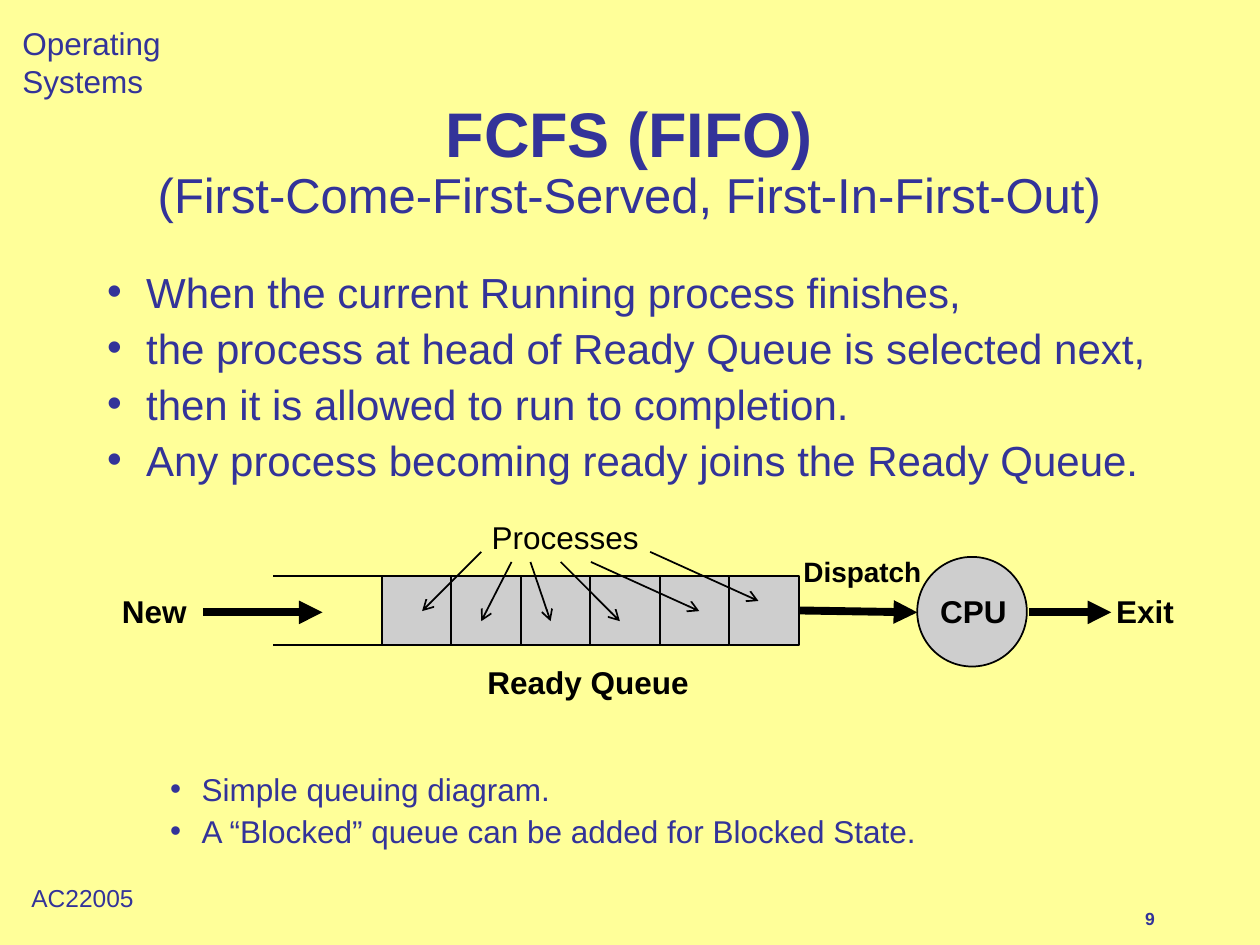
from lxml.etree import SubElement
from pptx import Presentation
from pptx.dml.color import RGBColor
from pptx.enum.shapes import MSO_CONNECTOR, MSO_SHAPE
from pptx.enum.text import MSO_ANCHOR, MSO_AUTO_SIZE, PP_ALIGN
from pptx.oxml.ns import qn
from pptx.util import Inches, Pt

CREAM = RGBColor(0xFF, 0xFF, 0x99)
NAVY = RGBColor(0x33, 0x33, 0x99)
GREY = RGBColor(0xCE, 0xCE, 0xCE)
BLACK = RGBColor(0, 0, 0)

CELL = 0.55
CELL_COUNT = 6
QUEUE_LEFT = 3.03
QUEUE_TOP = 4.57
QUEUE_MID = 4.86


def add_run(p, text, size=18, color=BLACK, bold=False, font="Arial"):
    r = p.add_run()
    r.text = text
    r.font.name = font
    r.font.size = Pt(size)
    r.font.bold = bold
    r.font.color.rgb = color


class SlideBuilder:
    def __init__(self, slide, line_color=BLACK, fill=GREY):
        self.s = slide
        self.line_color = line_color
        self.fill = fill

    def background(self, color):
        self.s.background.fill.solid()
        self.s.background.fill.fore_color.rgb = color

    def place(self, sp, left, top, width, height):
        sp.left, sp.top = Inches(left), Inches(top)
        sp.width, sp.height = Inches(width), Inches(height)
        tf = sp.text_frame
        tf.auto_size = MSO_AUTO_SIZE.NONE
        tf.word_wrap = True
        return tf

    def title(self, box, heading, subheading):
        tf = self.place(self.s.shapes.title, *box)
        tf.vertical_anchor = MSO_ANCHOR.MIDDLE
        p = tf.paragraphs[0]
        p.alignment = PP_ALIGN.CENTER
        p.line_spacing = 0.9
        add_run(p, heading, size=36, color=NAVY, bold=True)
        p.add_line_break()
        add_run(p, subheading, size=28, color=NAVY)

    def bullets(self, box, items):
        tf = self.place(self.s.placeholders[1], *box)
        tf.vertical_anchor = MSO_ANCHOR.TOP
        for i, (text, level, before) in enumerate(items):
            p = tf.paragraphs[0] if i == 0 else tf.add_paragraph()
            p.level = level
            p.line_spacing = 0.8
            p.space_before = Pt(before)
            margin, hang, size = ((0.31, 0.31, 24), (0.75, 0.25, 18))[level]
            ppr = p._p.get_or_add_pPr()
            ppr.set("marL", str(Inches(margin)))
            ppr.set("indent", str(-Inches(hang)))
            color = SubElement(ppr, qn("a:buClr"))
            SubElement(color, qn("a:srgbClr"), val=str(NAVY))
            SubElement(ppr, qn("a:buFont"), typeface="Arial")
            SubElement(ppr, qn("a:buChar"), char="•")
            add_run(p, text, size=size, color=NAVY)

    def label(self, text, left, top, width, height=0.4, align=PP_ALIGN.LEFT,
              wrap=True, **style):
        sp = self.s.shapes.add_textbox(*map(Inches, (left, top, width, height)))
        tf = sp.text_frame
        tf.word_wrap = wrap
        p = tf.paragraphs[0]
        p.alignment = align
        add_run(p, text, **style)

    def shape(self, kind, left, top, width, height):
        sp = self.s.shapes.add_shape(
            kind, *map(Inches, (left, top, width, height)))
        sp.shadow.inherit = False
        sp.fill.solid()
        sp.fill.fore_color.rgb = self.fill
        sp.line.color.rgb = self.line_color
        sp.line.width = Pt(1)
        return sp

    def line(self, x1, y1, x2, y2, width=1, head=None):
        cx = self.s.shapes.add_connector(
            MSO_CONNECTOR.STRAIGHT, *map(Inches, (x1, y1, x2, y2)))
        cx.line.color.rgb = self.line_color
        cx.line.width = Pt(width)
        if head:
            SubElement(cx.line._get_or_add_ln(), qn("a:tailEnd"), type=head)
        SubElement(cx._element.spPr, qn("a:effectLst"))
        return cx


def main():
    prs = Presentation()
    prs.slide_width, prs.slide_height = Inches(10), Inches(7.5)
    b = SlideBuilder(prs.slides.add_slide(prs.slide_layouts[1]))
    b.background(CREAM)

    b.label("Operating Systems", 0.08, 0.14, 2.32, wrap=False, color=NAVY)
    b.label("9", 8.99, 7.16, 0.87, 0.26, wrap=False, size=10, color=NAVY, bold=True)
    b.label("AC22005", 0.15, 6.96, 1.01, 0.33, wrap=False, size=14, color=NAVY)

    b.title((1.08, 0.67, 7.83, 1.25), "FCFS (FIFO)",
            "(First-Come-First-Served, First-In-First-Out)")
    b.bullets((0.75, 2.14, 8.5, 4.92), [
        ("When the current Running process finishes,", 0, 9),
        ("the process at head of Ready Queue is selected next,", 0, 9),
        ("then it is allowed to run to completion.", 0, 9),
        ("Any process becoming ready joins the Ready Queue.", 0, 9),
        ("Simple queuing diagram.", 1, 167),
        ("A “Blocked” queue can be added for Blocked State.", 1, 6.8),
    ])

    cells = [b.shape(MSO_SHAPE.RECTANGLE, QUEUE_LEFT + i * 0.552, QUEUE_TOP, CELL, CELL)
             for i in range(CELL_COUNT)]
    for y in (QUEUE_TOP, QUEUE_TOP + CELL):
        b.line(2.17, y, 4.69, y)

    b.shape(MSO_SHAPE.OVAL, 7.28, 4.42, 0.87, 0.87)
    b.line(1.61, QUEUE_MID, 2.56, QUEUE_MID, width=4.5, head="triangle")
    dispatch = b.line(6.34, QUEUE_MID, 7.28, QUEUE_MID, width=4.5, head="triangle")
    dispatch.begin_connect(cells[-1], 3)
    b.line(8.17, QUEUE_MID, 8.82, QUEUE_MID, width=4.5, head="triangle")

    b.label("New", 0.87, 4.65, 0.76, bold=True)
    b.label("CPU", 7.33, 4.65, 0.79, align=PP_ALIGN.CENTER, bold=True)
    b.label("Exit", 8.76, 4.65, 0.8, bold=True)
    b.label("Ready Queue", 3.77, 5.21, 1.8, bold=True)
    b.label("Dispatch", 6.18, 4.35, 1.33, 0.37, align=PP_ALIGN.CENTER, size=16, bold=True)
    b.label("Processes", 3.03, 4.06, 2.91, align=PP_ALIGN.CENTER)

    for pointer in (
        (3.82, 4.38, 3.35, 4.85),
        (4.06, 4.46, 3.82, 4.93),
        (4.21, 4.46, 4.37, 4.93),
        (4.45, 4.46, 4.92, 4.93),
        (4.69, 4.46, 5.55, 4.85),
        (5.16, 4.38, 6.02, 4.77),
    ):
        b.line(*pointer, head="arrow")

    prs.save("out.pptx")


if __name__ == "__main__":
    main()
